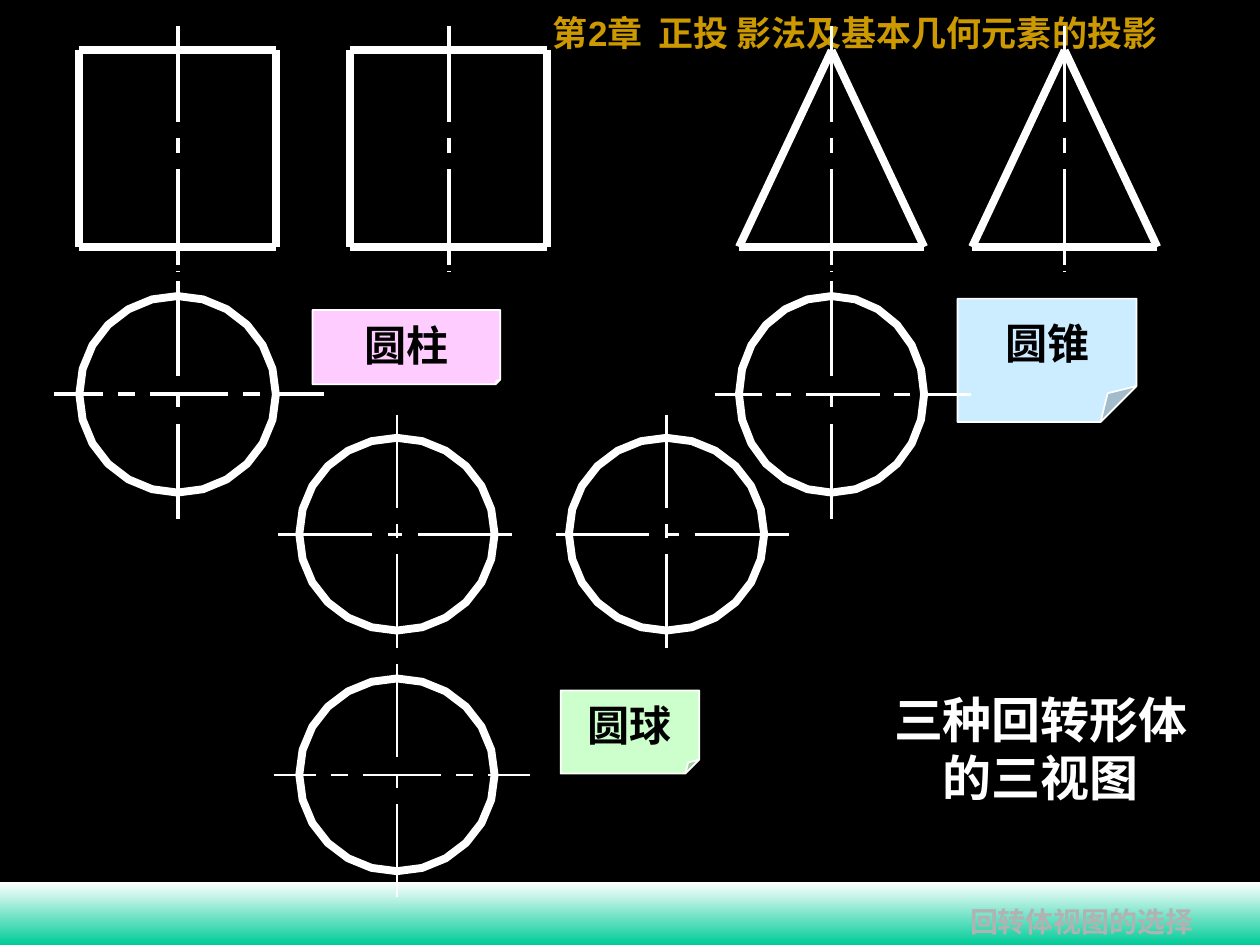
"""Build a slide with the views of a cylinder, a cone and a sphere."""
from math import cos, pi, sin

from lxml import etree
from pptx import Presentation
from pptx.dml.color import RGBColor
from pptx.enum.shapes import MSO_CONNECTOR, MSO_SHAPE
from pptx.enum.text import MSO_ANCHOR, PP_ALIGN
from pptx.oxml.ns import qn
from pptx.util import Inches, Pt

LINE = MSO_CONNECTOR.STRAIGHT
RECT, NOTE = MSO_SHAPE.RECTANGLE, MSO_SHAPE.FOLDED_CORNER
LEFT, MID = PP_ALIGN.LEFT, PP_ALIGN.CENTER
CENTER = MSO_ANCHOR.MIDDLE

HEX = {"black": "000000", "white": "FFFFFF", "green": "00CC99", "gold": "CC9900",
       "gray": "B2B2B2", "pink": "FFCCFF", "sky": "CCECFF", "mint": "CCFFCC"}
SERIF, SANS = "Times New Roman", "Arial"
BOLD, THIN, THICK = 4.5, 1.5, 2.25

TEXTS = [
    ((4.29, 0.04, 5.29, 0.44), [[("第", SERIF), ("2", SANS),
     ("章  正投 影法及基本几何元素的投影", SERIF)]], 20, "gold", LEFT),
    ((6.87, 5.42, 2.78, 1.04), [[("三种回转形体", SERIF)], [("的三视图", SERIF)]],
     28, "white", MID),
    ((7.6, 7.13, 2.41, 0.37), [[("回转体视图的选择", SERIF)]], 16, "gray", LEFT),
]
NOTES = [
    ("圆柱", (2.48, 2.46, 1.49, 0.59), 6200, "pink"),
    ("圆锥", (7.6, 2.37, 1.42, 0.98), 29200, "sky"),
    ("圆球", (4.45, 5.48, 1.1, 0.66), 16700, "mint"),
]

TOP, BASE, TIP = 0.4, 1.96, 0.21
BOXES = [(1.41, 0.78), (3.56, 0.78)]
CONES = [(6.6, 0.735), (8.45, 0.735)]
RINGS = [(1.41, 3.13, 0.78, 0.78), (6.6, 3.13, 0.735, 0.78), (3.15, 4.24, 0.775, 0.765),
         (5.29, 4.24, 0.775, 0.765), (3.15, 6.15, 0.775, 0.765)]
SHORT = [(0, 0.4), (0.47, 0.53), (0.6, 1)]
UPRIGHT = [(1.41, TIP, 1.89, THICK), (3.56, TIP, 1.89, THICK), (6.6, TIP, 1.89, THIN),
           (8.45, TIP, 1.89, THIN), (1.41, 2.23, 1.89, THICK), (6.6, 2.23, 1.89, THIN),
           (3.15, 3.29, 1.85, THIN), (5.29, 3.29, 1.85, THIN), (3.15, 5.27, 1.85, THIN)]
LEVEL = [(2.21, 4.24, 1.85), (4.41, 4.24, 1.85)]
LONG = [(1.5, 3.13, 1.075, 1, THICK), (6.69, 3.13, 1.015, 0.95, THIN),
        (3.19, 6.15, 1.015, 1, THIN)]
DOTS = [(1.41, THICK), (3.56, THICK), (6.6, THIN), (8.45, THIN)]

deck = Presentation()
deck.slide_width, deck.slide_height = Inches(10), Inches(7.5)
slide = deck.slides.add_slide(deck.slide_layouts[6])
shapes = slide.shapes


def rgb(name):
    return RGBColor.from_string(HEX[name])


def place(box):
    return [Inches(v) for v in box]


def write(frame, paras, size, color, align):
    look = {"size": Pt(size), "bold": True}
    for i, parts in enumerate(paras):
        para = frame.paragraphs[0] if i == 0 else frame.add_paragraph()
        para.alignment = align
        for words, face in parts:
            run = para.add_run()
            run.text = words
            for key, val in {**look, "name": face}.items():
                setattr(run.font, key, val)
            run.font.color.rgb = rgb(color)


def draw(x1, y1, x2, y2, width):
    line = shapes.add_connector(LINE, *place((x1, y1, x2, y2)))
    line.line.color.rgb = rgb("white")
    line.line.width = Pt(width)
    etree.SubElement(line._element.spPr, qn("a:effectLst"))


def ring(x, y, rx, ry):
    dots = [place((x + rx * cos(i * pi / 12), y - ry * sin(i * pi / 12)))
            for i in range(24)]
    pen = shapes.build_freeform(*dots[0])
    pen.add_line_segments(dots[1:], close=True)
    shape = pen.convert_to_shape()
    shape.shadow.inherit = False
    shape.fill.background()
    shape.line.color.rgb = rgb("white")
    shape.line.width = Pt(BOLD)


slide.background.fill.solid()
slide.background.fill.fore_color.rgb = rgb("black")

band = shapes.add_shape(RECT, *place((0, 7, 10, 0.5)))
band.shadow.inherit = False
band.line.fill.background()
band.fill.gradient()
band.fill.gradient_angle = 270
for stop, tone, pos in zip(band.fill.gradient_stops, ("white", "green"), (0, 1)):
    stop.color.rgb = rgb(tone)
    stop.position = pos

for box, paras, size, color, align in TEXTS:
    frame = shapes.add_textbox(*place(box)).text_frame
    frame.word_wrap = True
    write(frame, paras, size, color, align)

for words, box, fold, color in NOTES:
    note = shapes.add_shape(NOTE, *place(box))
    guides = next(note._element.spPr.iter(qn("a:avLst")))
    etree.SubElement(guides, qn("a:gd"), name="adj", fmla=f"val {fold}")
    note.shadow.inherit = False
    note.fill.solid()
    note.fill.fore_color.rgb = rgb(color)
    note.line.color.rgb = rgb("white")
    note.line.width = Pt(1)
    note.text_frame.word_wrap = False
    note.text_frame.vertical_anchor = CENTER
    write(note.text_frame, [[(words, SERIF)]], 24, "black", MID)

for x, y, size, width in UPRIGHT:
    for a, b in SHORT:
        draw(x, y + a * size, x, y + b * size, width)
for x, y, size in LEVEL:
    for a, b in SHORT:
        draw(x + a * size, y, x + b * size, y, THIN)
for x, y, half, k, width in LONG:
    draw(x - 0.31 * k, y, x + 0.31 * k, y, width)
    for side in (-1, 1):
        for a, b in [(0.43 * k, 0.56 * k), (0.68 * k, half)]:
            draw(x + side * a, y, x + side * b, y, width)
for x, width in DOTS:
    draw(x, 2.15, x, 2.16, width)

for spot in RINGS:
    ring(*spot)
for x, half in BOXES:
    for y in (TOP, BASE):
        draw(x - half, y, x + half, y, BOLD)
    for side in (-half, half):
        draw(x + side, TOP, x + side, BASE, BOLD)
for x, half in CONES:
    draw(x - half, BASE, x + half, BASE, BOLD)
    for side in (-half, half):
        draw(x, TOP, x + side, BASE, BOLD)

deck.save("out.pptx")
